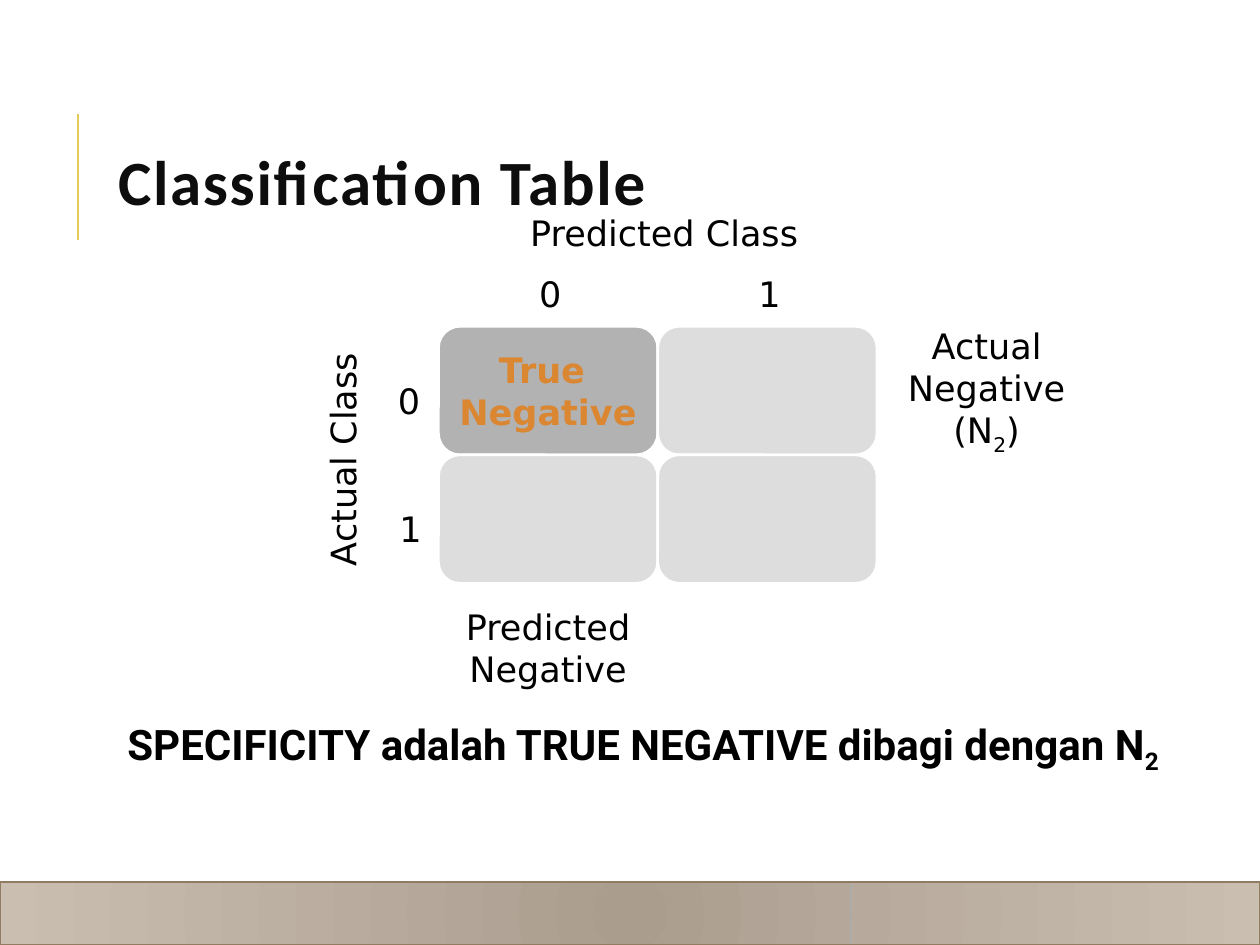
"""Build the classification table slide that explains specificity."""
from lxml.etree import SubElement
from pptx import Presentation
from pptx.dml.color import RGBColor
from pptx.enum.shapes import MSO_CONNECTOR, MSO_SHAPE
from pptx.enum.text import MSO_ANCHOR, MSO_AUTO_SIZE, PP_ALIGN
from pptx.oxml.ns import qn
from pptx.util import Cm, Pt


def color(value):
    return RGBColor.from_string(value)


def write(shape, lines, size=20, font="DejaVu Sans", fill="000000", bold=False,
          align=PP_ALIGN.CENTER, anchor=MSO_ANCHOR.MIDDLE, wrap=False):
    """Fill a shape with lines in which underscores enclose subscripts."""
    frame = shape.text_frame
    frame.word_wrap = wrap
    frame.vertical_anchor = anchor
    for number, line in enumerate(lines):
        paragraph = frame.add_paragraph() if number else frame.paragraphs[0]
        paragraph.alignment = align
        paragraph.font.size = Pt(size)
        paragraph.font.name = font
        paragraph.font.bold = bold
        paragraph.font.color.rgb = color(fill)
        for index, part in enumerate(line.split("_")):
            if part:
                run = paragraph.add_run()
                run.text = part
                if index % 2:
                    run._r.get_or_add_rPr().set("baseline", "-25000")


presentation = Presentation()
presentation.slide_width = Cm(25.4)
presentation.slide_height = Cm(19.05)
slide = presentation.slides.add_slide(presentation.slide_layouts[6])
shapes = slide.shapes

footer = shapes.add_shape(MSO_SHAPE.RECTANGLE, 0, Cm(17.78), Cm(25.4), Cm(1.27))
footer.shadow.inherit = False
footer.line.color.rgb = color("927C61")
footer.line.width = Pt(0.75)
footer.fill.gradient()
for stop, value in zip(footer.fill.gradient_stops, ("AB9D8E", "CABEB1")):
    stop.color.rgb = color(value)
gradient = footer._element.spPr.find(qn("a:gradFill"))
gradient.remove(gradient.find(qn("a:lin")))
circle = SubElement(gradient, qn("a:path"), path="circle")
SubElement(circle, qn("a:fillToRect"), l="100000", t="100000", r="100000", b="100000")

for x, top, bottom, value, width in (
    (1.57, 2.29, 4.83, "E3CC5A", 1.5),
    (17.15, 17.83, 19.02, "ACADA8", 1.25),
):
    rule = shapes.add_connector(MSO_CONNECTOR.STRAIGHT, Cm(x), Cm(bottom), Cm(x), Cm(top))
    rule.line.color.rgb = color(value)
    rule.line.width = Pt(width)
    SubElement(rule._element.spPr, qn("a:effectLst"))

title = shapes.add_textbox(Cm(2.13), Cm(1.7), Cm(20.24), Cm(4.17))
write(title, ["Classification Table"], 36, "Calibri", "0D0D0D", True, PP_ALIGN.LEFT, wrap=True)
title_paragraph = title.text_frame.paragraphs[0]
title_paragraph.line_spacing = 0.8
title_paragraph.runs[0]._r.get_or_add_rPr().set("spc", "100")

grid_left, grid_top, cell_width, cell_height = 8.84, 6.58, 4.42, 2.59
for row in range(2):
    for column in range(2):
        cell = shapes.add_shape(
            MSO_SHAPE.ROUNDED_RECTANGLE,
            Cm(grid_left + column * cell_width), Cm(grid_top + row * cell_height),
            Cm(cell_width), Cm(cell_height))
        cell.shadow.inherit = False
        cell.fill.solid()
        cell.fill.fore_color.rgb = color("DDDDDD" if row or column else "B2B2B2")
        cell.line.color.rgb = color("FFFFFF")
        cell.line.width = Pt(1.5)
        if row == column == 0:
            write(cell, ["True ", "Negative"], fill="DB8631", bold=True)

for row, column, lines in (
    (2, 0, ["Predicted", "Negative"]),
    (0, 2, ["Actual", "Negative (N_2_)"]),
):
    total = shapes.add_textbox(
        Cm(grid_left + column * cell_width), Cm(grid_top + row * cell_height),
        Cm(cell_width), Cm(cell_height))
    write(total, lines)

for text, left, top, width, rotation in (
    ("Predicted Class", 10.44, 4.14, 5.94, 0),
    ("Actual Class", 4.5, 8.69, 4.83, 270),
    ("0", 7.77, 7.52, 0.97, 0),
    ("1", 7.8, 10.11, 0.97, 0),
    ("0", 10.62, 5.36, 0.97, 0),
    ("1", 15.04, 5.36, 0.97, 0),
):
    label = shapes.add_textbox(Cm(left), Cm(top), Cm(width), Cm(1.12))
    label.rotation = rotation
    write(label, [text], align=PP_ALIGN.LEFT, anchor=MSO_ANCHOR.TOP)
    label.text_frame.auto_size = MSO_AUTO_SIZE.SHAPE_TO_FIT_TEXT

formula = shapes.add_textbox(Cm(1.27), Cm(14.35), Cm(23.39), Cm(1.27))
write(formula, ["SPECIFICITY adalah TRUE NEGATIVE dibagi dengan N_2_"], 24, "Roboto",
      bold=True, anchor=MSO_ANCHOR.TOP, wrap=True)
formula.text_frame.auto_size = MSO_AUTO_SIZE.SHAPE_TO_FIT_TEXT

presentation.save("out.pptx")
